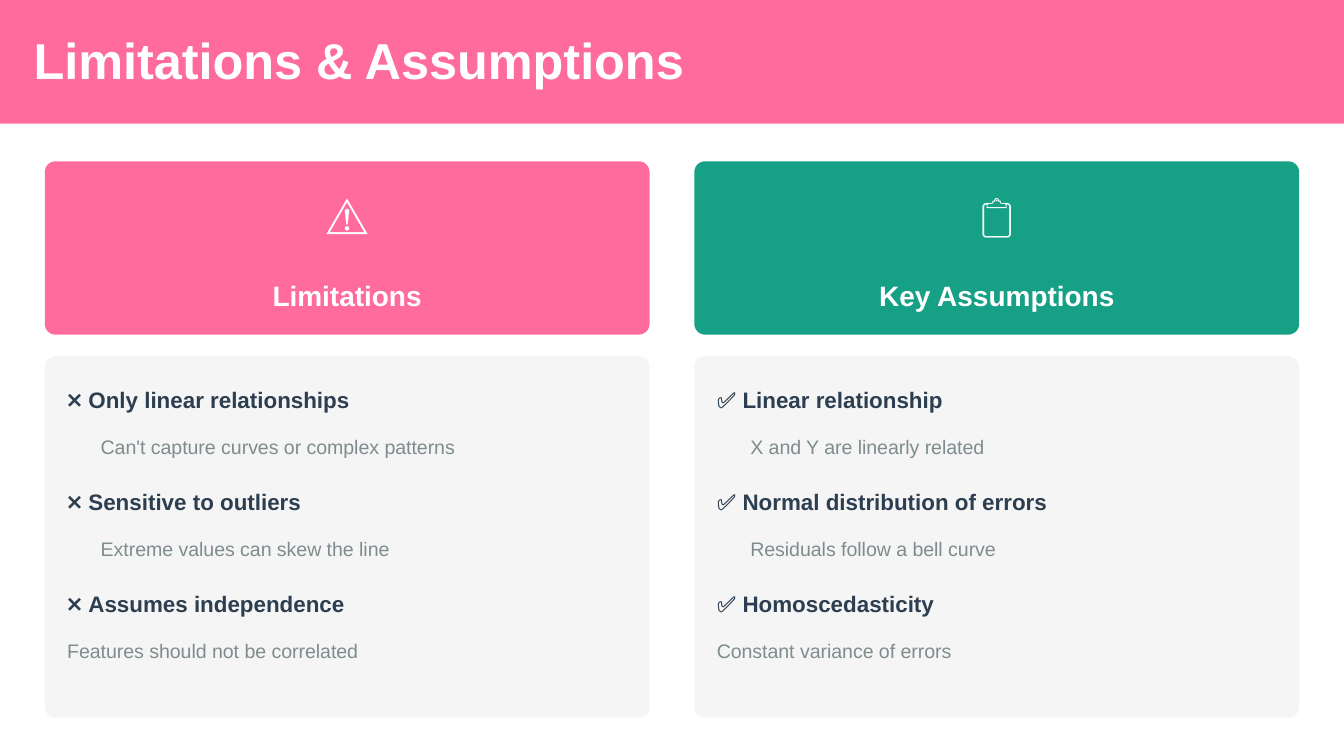
from dataclasses import dataclass

from pptx import Presentation
from pptx.dml.color import RGBColor
from pptx.enum.shapes import MSO_SHAPE
from pptx.enum.text import PP_ALIGN
from pptx.util import Inches, Pt

RECT = MSO_SHAPE.RECTANGLE
ROUNDED = MSO_SHAPE.ROUNDED_RECTANGLE
LEFT = PP_ALIGN.LEFT
CENTER = PP_ALIGN.CENTER

FONT = "Arial"
COLORS = {
    "pink": "FF6B9D",
    "green": "16A085",
    "panel": "F5F5F5",
    "heading": "2C3E50",
    "detail": "7F8C8D",
    "white": "FFFFFF",
}

# Layout, in inches
SLIDE_WIDTH = 10
SLIDE_HEIGHT = SLIDE_WIDTH * 9 / 16
MARGIN = 1 / 3
CARD_WIDTH = 4.5
CARD_RADIUS = 0.08
PADDING = MARGIN / 2
DETAIL_INDENT = 0.25
FIRST_POINT_TOP = 2.82
POINT_STEP = 0.76
DETAIL_DROP = 0.38


@dataclass
class Point:
    heading: str
    detail: str


@dataclass
class Column:
    left: float
    color: str
    icon: str
    title: str
    title_width: float
    marker: str
    points: list[Point]


COLUMNS = [
    Column(MARGIN, "pink", "⚠️", "Limitations", 1.13, "❌ ", [
        Point("Only linear relationships", "Can't capture curves or complex patterns"),
        Point("Sensitive to outliers", "Extreme values can skew the line"),
        Point("Assumes independence", "Features should not be correlated"),
    ]),
    Column(SLIDE_WIDTH - MARGIN - CARD_WIDTH, "green", "📋", "Key Assumptions", 1.79, "✅ ", [
        Point("Linear relationship", "X and Y are linearly related"),
        Point("Normal distribution of errors", "Residuals follow a bell curve"),
        Point("Homoscedasticity", "Constant variance of errors"),
    ]),
]


def add_block(slide, left: float, top: float, width: float, height: float,
              color: str, radius: float = 0) -> None:
    block = slide.shapes.add_shape(ROUNDED if radius else RECT, Inches(left),
                                   Inches(top), Inches(width), Inches(height))
    if radius:
        block.adjustments[0] = radius / min(width, height)
    block.shadow.inherit = False
    block.fill.solid()
    block.fill.fore_color.rgb = RGBColor.from_string(COLORS[color])
    block.line.fill.background()


def add_text(slide, text: str, *, left: float, top: float, width: float,
             height: float, size: float, line: float, color: str,
             bold: bool = False, align=LEFT, after: float = 0,
             marker: str = "") -> None:
    """Add a one-paragraph text box, with an optional regular-weight marker."""
    box = slide.shapes.add_textbox(Inches(left), Inches(top), Inches(width), Inches(height))
    frame = box.text_frame
    frame.word_wrap = True
    frame.margin_left = frame.margin_right = frame.margin_top = frame.margin_bottom = 0
    paragraph = frame.paragraphs[0]
    paragraph.alignment = align
    paragraph.line_spacing = Pt(line)
    paragraph.space_after = Pt(after)
    for part, weight in ((marker, False), (text, bold)):
        if part:
            run = paragraph.add_run()
            run.text = part
            run.font.name = FONT
            run.font.size = Pt(size)
            run.font.bold = weight
            run.font.color.rgb = RGBColor.from_string(COLORS[color])


def add_column(slide, column: Column) -> None:
    center = column.left + CARD_WIDTH / 2

    # Coloured header card
    add_block(slide, column.left, 1.2, CARD_WIDTH, 1.29, column.color, CARD_RADIUS)
    add_text(slide, column.icon, left=center - 0.2, top=1.4, width=0.4, height=0.38,
             size=22.5, line=27, color="white", align=CENTER, after=6)
    add_text(slide, column.title, left=center - column.title_width / 2, top=2.03,
             width=column.title_width, height=0.29, size=15, line=21,
             color="white", bold=True, align=CENTER)

    # Panel of points; the closing detail is not indented
    add_block(slide, column.left, 2.65, CARD_WIDTH, 2.69, "panel", CARD_RADIUS)
    text_left = column.left + PADDING
    for index, point in enumerate(column.points):
        top = FIRST_POINT_TOP + index * POINT_STEP
        last = index == len(column.points) - 1
        indent = 0 if last else DETAIL_INDENT
        add_text(slide, point.heading, left=text_left, top=top, width=4.25, height=0.25,
                 size=12, line=18, color="heading", bold=True, after=3.6,
                 marker=column.marker)
        add_text(slide, point.detail, left=text_left + indent, top=top + DETAIL_DROP,
                 width=4.25 - indent, height=0.21, size=10.5, line=15,
                 color="detail", after=18 if last else 6)


def main() -> None:
    presentation = Presentation()
    presentation.slide_width = Inches(SLIDE_WIDTH)
    presentation.slide_height = Inches(SLIDE_HEIGHT)
    slide = presentation.slides.add_slide(presentation.slide_layouts[6])

    # Title band
    add_block(slide, 0, 0, SLIDE_WIDTH, 0.92, "pink")
    add_text(slide, "Limitations & Assumptions", left=0.25, top=0.25, width=4.94,
             height=0.42, size=27, line=30, color="white", bold=True)

    for column in COLUMNS:
        add_column(slide, column)

    presentation.save("out.pptx")


if __name__ == "__main__":
    main()
